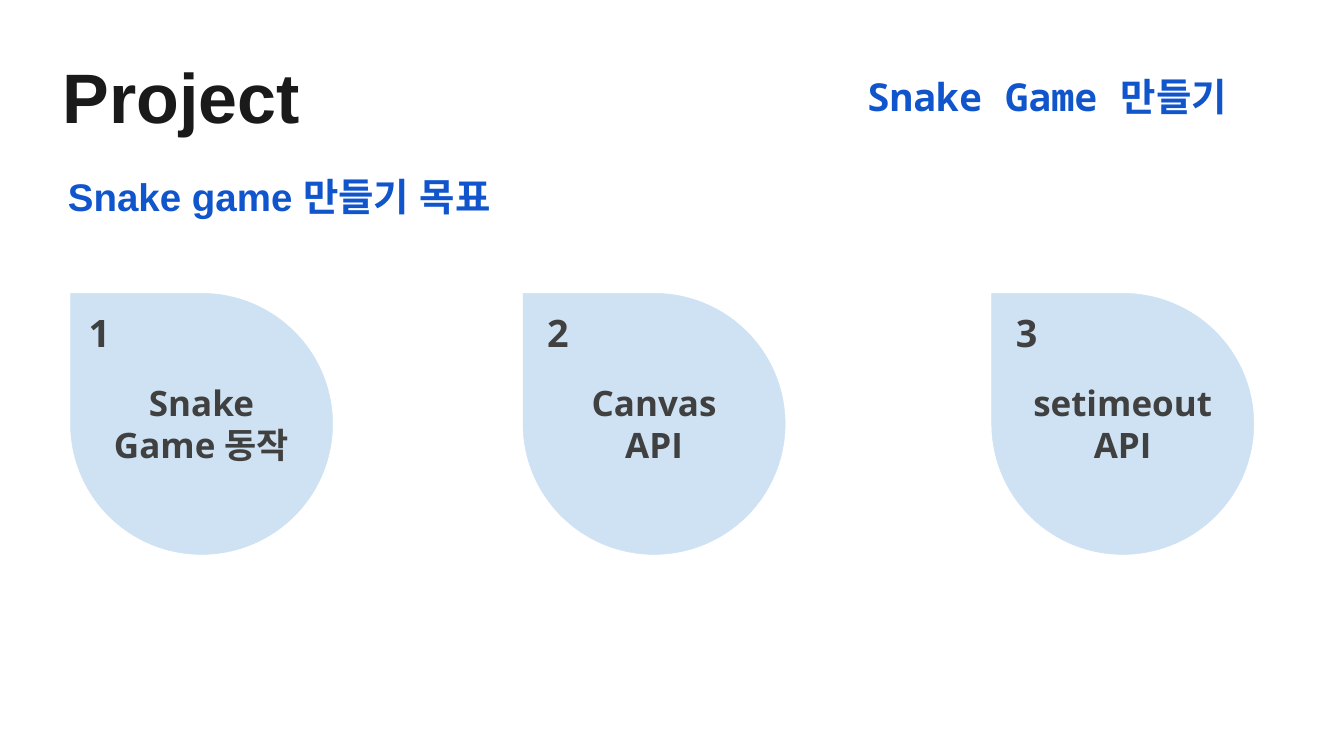
from dataclasses import dataclass

from lxml.etree import SubElement
from pptx import Presentation
from pptx.dml.color import RGBColor
from pptx.enum.shapes import MSO_SHAPE
from pptx.enum.text import MSO_ANCHOR, MSO_AUTO_SIZE, PP_ALIGN
from pptx.oxml.ns import qn
from pptx.util import Inches, Pt


@dataclass(frozen=True)
class Theme:
    ink: str = "1A1A1A"
    accent: str = "1155CC"
    drop: str = "CFE2F3"
    label: str = "404040"
    sans: str = "Arial"
    mono: str = "Noto Sans Mono"
    body: str = "Open Sans"
    title_size: int = 100
    heading_size: int = 55
    number_size: int = 54
    label_size: int = 50


THEME = Theme()
WIDTH, HEIGHT = 26.67, 15
DROP_TOP, DROP_WIDTH, DROP_HEIGHT = 5.81, 5.18, 5.2

# Left edge of each drop, inset of its number, number and label
GOALS = [
    (1.41, 0.25, "1", "Snake\vGame 동작"),
    (10.39, 0.37, "2", "Canvas\vAPI"),
    (19.69, 0.37, "3", "setimeout\vAPI"),
]


def write(holder, text, typeface, size, color, align=PP_ALIGN.LEFT, inset=0.1):
    """Fill a text holder with one bold paragraph in one style."""
    frame = holder.text_frame
    margins = {f"margin_{side}": Inches(inset)
               for side in ("left", "top", "right", "bottom")}
    frame_format = {"word_wrap": True, "vertical_anchor": MSO_ANCHOR.TOP,
                    "auto_size": MSO_AUTO_SIZE.SHAPE_TO_FIT_TEXT, **margins}
    for name, value in frame_format.items():
        setattr(frame, name, value)

    paragraph = frame.paragraphs[0]
    paragraph.text = text
    paragraph.alignment = align
    paragraph.line_spacing = 1.0
    for run in paragraph.runs:
        for name, value in {"name": typeface, "size": Pt(size), "bold": True}.items():
            setattr(run.font, name, value)
        run.font.color.rgb = RGBColor.from_string(color)
        # Korean letters take the same typeface
        SubElement(run.font._element, qn("a:ea"), typeface=typeface)


def add_text(slide, left, top, width, height, text, *style, **options):
    box = slide.shapes.add_textbox(*map(Inches, (left, top, width, height)))
    write(box, text, *style, **options)


def add_title(slide, text):
    title = slide.shapes.title
    place = {"left": 0.98, "top": 0.8, "width": 5.39, "height": 2.22}
    for name, value in place.items():
        setattr(title, name, Inches(value))
    write(title, text, THEME.sans, THEME.title_size, THEME.ink, inset=0.27)


def add_drop(slide, left):
    drop = slide.shapes.add_shape(
        MSO_SHAPE.TEAR, *map(Inches, (left, DROP_TOP, DROP_WIDTH, DROP_HEIGHT)))
    drop.rotation = 270
    drop.shadow.inherit = False
    drop.fill.solid()
    drop.line.width = Pt(0.75)
    for paint in (drop.fill.fore_color, drop.line.color):
        paint.rgb = RGBColor.from_string(THEME.drop)


def add_goal(slide, left, number_inset, number, label):
    """A drop with its number in the corner and its label in the middle."""
    add_drop(slide, left)
    add_text(slide, left + number_inset, DROP_TOP + 0.23, 0.67, 1.11, number,
             THEME.body, THEME.number_size, THEME.label)
    label_width = 4.57
    add_text(slide, left + (DROP_WIDTH - label_width) / 2, DROP_TOP + 1.66,
             label_width, 1.89, label, THEME.body, THEME.label_size,
             THEME.label, align=PP_ALIGN.CENTER)


def main():
    deck = Presentation()
    deck.slide_width, deck.slide_height = Inches(WIDTH), Inches(HEIGHT)
    slide = deck.slides.add_slide(deck.slide_layouts.get_by_name("Title Only"))

    # Header and subheading
    add_title(slide, "Project")
    add_text(slide, 16.66, 1.34, 8.23, 1.13, "Snake Game 만들기", THEME.mono,
             THEME.heading_size, THEME.accent, align=PP_ALIGN.CENTER)
    add_text(slide, 1.25, 3.33, 23.64, 1.13, "Snake game 만들기 목표",
             THEME.sans, THEME.heading_size, THEME.accent)

    # Three goals in a row
    for goal in GOALS:
        add_goal(slide, *goal)

    deck.save("out.pptx")


if __name__ == "__main__":
    main()
